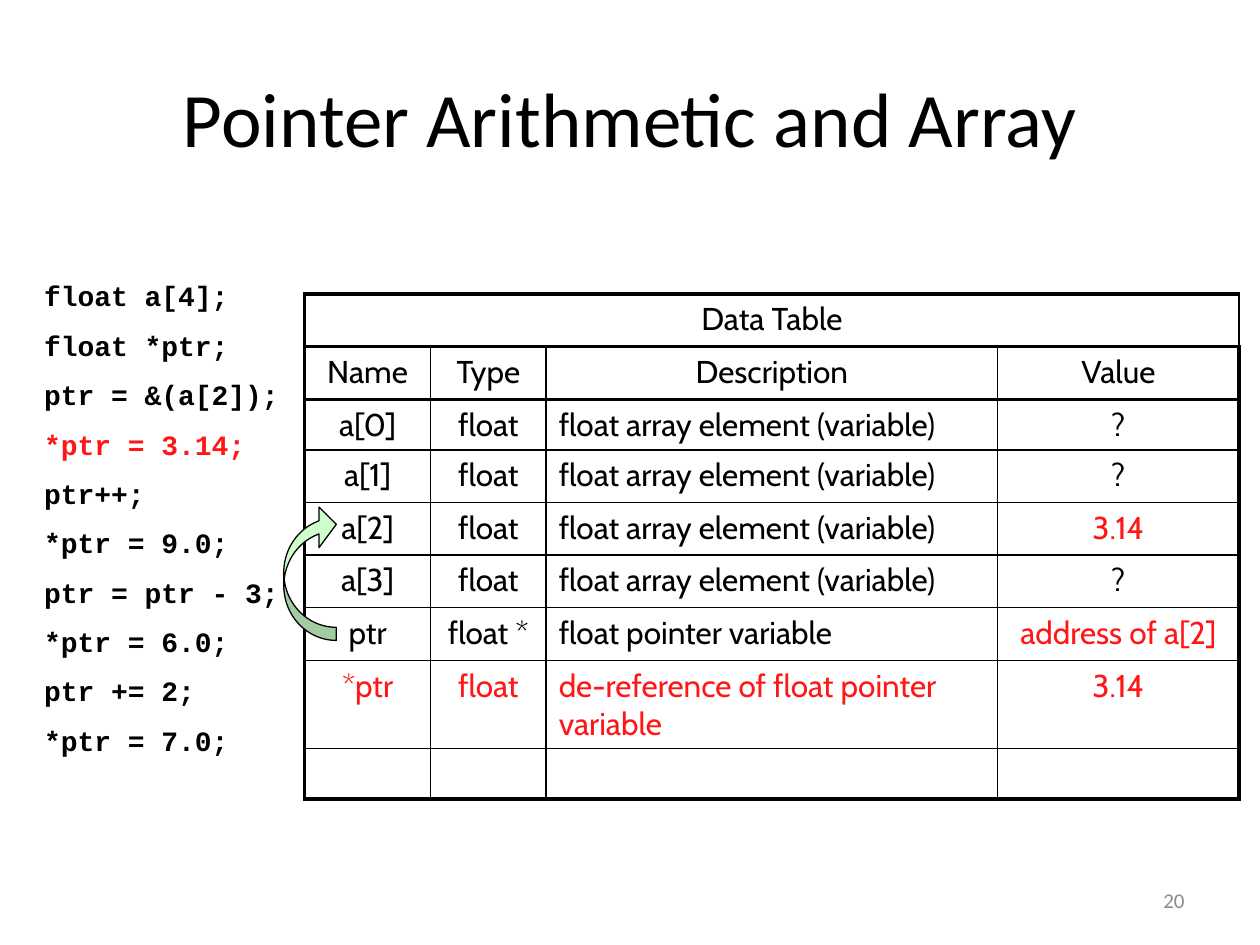
from lxml.etree import SubElement
from pptx import Presentation
from pptx.dml.color import RGBColor
from pptx.enum.shapes import MSO_SHAPE
from pptx.enum.text import MSO_ANCHOR, PP_ALIGN
from pptx.oxml.ns import qn
from pptx.util import Cm, Pt

BLACK, RED, GREY, GREEN = "000000", "FF1717", "8C8C8C", "CCFFCC"
THIN, THICK = 1, 2.25
CODE = [
    "float a[4];",
    "float *ptr;",
    "ptr = &(a[2]);",
    "*ptr = 3.14;",
    "ptr++;",
    "*ptr = 9.0;",
    "ptr = ptr - 3;",
    "*ptr = 6.0;",
    "ptr += 2;",
    "*ptr = 7.0;",
]
CURRENT_LINE = 3
ELEMENT = "float array element (variable)"
TABLE_ROWS = [
    ["Data Table", "", "", ""],
    ["Name", "Type", "Description", "Value"],
    ["a[0]", "float", ELEMENT, "?"],
    ["a[1]", "float", ELEMENT, "?"],
    ["a[2]", "float", ELEMENT, "3.14"],
    ["a[3]", "float", ELEMENT, "?"],
    ["ptr", "float *", "float pointer variable", "address of a[2]"],
    ["*ptr", "float", "de-reference of float pointer variable", "3.14"],
    ["", "", "", ""],
]
RED_CELLS = {(4, 3), (6, 3), (7, 0), (7, 1), (7, 2), (7, 3)}
COLUMN_WIDTHS = [2.54, 2.33, 9.1, 4.87]
ROW_HEIGHTS = [1.06, 1.06, 1.02, 1.06, 1.06, 1.06, 1.06, 1.78, 1.02]


def color(value):
    """Turn a hex string into a colour."""
    return RGBColor.from_string(value)


def format_paragraph(paragraph, font, size, value, align=PP_ALIGN.LEFT, bold=False):
    """Align a paragraph and format its runs."""
    paragraph.alignment = align
    for run in paragraph.runs:
        run.font.name = font
        run.font.size = Pt(size)
        run.font.bold = bold
        run.font.color.rgb = color(value)


def place(shape, left, top, width, height):
    """Move and size a shape, in centimetres."""
    shape.left, shape.top = Cm(left), Cm(top)
    shape.width, shape.height = Cm(width), Cm(height)


def add_title(slide, text):
    """Fill the title placeholder."""
    title = slide.shapes.title
    place(title, 1.27, 0.76, 22.86, 3.18)
    title.text_frame.text = text
    title.text_frame.vertical_anchor = MSO_ANCHOR.MIDDLE
    format_paragraph(title.text_frame.paragraphs[0], "Calibri", 44, BLACK, PP_ALIGN.CENTER)


def add_text_box(slide, left, top, width, height):
    """Add a wrapping text box and return its text frame."""
    box = slide.shapes.add_textbox(Cm(left), Cm(top), Cm(width), Cm(height))
    box.text_frame.word_wrap = True
    return box.text_frame


def add_page_number(slide, text):
    """Add the page number at the lower right."""
    frame = add_text_box(slide, 18.2, 17.65, 5.93, 1.01)
    frame.text = text
    frame.vertical_anchor = MSO_ANCHOR.MIDDLE
    format_paragraph(frame.paragraphs[0], "Calibri", 12, GREY, PP_ALIGN.RIGHT)


def add_code(slide):
    """Add the code with its current line in red."""
    frame = add_text_box(slide, 0.64, 5.5, 23.7, 10.11)
    for index, line in enumerate(CODE):
        paragraph = frame.add_paragraph() if index else frame.paragraphs[0]
        paragraph.text = line
        if index:
            paragraph.space_before = Pt(9)
        value = RED if index == CURRENT_LINE else BLACK
        format_paragraph(paragraph, "Courier New", 16, value, bold=True)


def set_borders(cell, widths):
    """Draw the left, right, top and bottom borders of a cell."""
    properties = cell._tc.get_or_add_tcPr()
    for position, (side, width) in enumerate(zip("LRTB", widths)):
        line = SubElement(properties, qn(f"a:ln{side}"), w=str(Pt(width)))
        fill = SubElement(line, qn("a:solidFill"))
        SubElement(fill, qn("a:srgbClr"), val=BLACK)
        properties.insert(position, line)


def add_data_table(slide):
    """Add the data table with thick frame and header lines."""
    last_row, last_column = len(ROW_HEIGHTS) - 1, len(COLUMN_WIDTHS) - 1
    table = slide.shapes.add_table(
        last_row + 1, last_column + 1, Cm(6.14), Cm(5.93),
        Cm(sum(COLUMN_WIDTHS)), Cm(sum(ROW_HEIGHTS)),
    ).table
    table.first_row = table.horz_banding = False
    for column, width in zip(table.columns, COLUMN_WIDTHS):
        column.width = Cm(width)
    for row, height in zip(table.rows, ROW_HEIGHTS):
        row.height = Cm(height)
    table.cell(0, 0).merge(table.cell(0, last_column))
    for row, texts in enumerate(TABLE_ROWS):
        for column, text in enumerate(texts):
            cell = table.cell(row, column)
            cell.fill.background()
            set_borders(cell, [
                THICK if column == 0 else THIN,
                THICK if column == last_column else THIN,
                THICK if row <= 2 else THIN,
                THICK if row <= 1 or row == last_row else THIN,
            ])
            if text:
                cell.text_frame.text = text
                value = RED if (row, column) in RED_CELLS else BLACK
                described = column == 2 and row > 1
                align = PP_ALIGN.LEFT if described else PP_ALIGN.CENTER
                format_paragraph(cell.text_frame.paragraphs[0], "Cabin", 18, value, align)


def add_pointer_arrow(slide):
    """Add the curved arrow from ptr to a[2]."""
    arrow = slide.shapes.add_shape(
        MSO_SHAPE.CURVED_LEFT_ARROW, Cm(5.72), Cm(10.16), Cm(1.06), Cm(2.75)
    )
    arrow.rotation = 180
    for index, adjustment in enumerate([0.25, 0.77, 0.33]):
        arrow.adjustments[index] = adjustment
    arrow.shadow.inherit = False
    arrow.fill.solid()
    arrow.fill.fore_color.rgb = color(GREEN)
    arrow.line.color.rgb = color(BLACK)
    arrow.line.width = Pt(0.75)


def main():
    """Build and save the slide."""
    presentation = Presentation()
    presentation.slide_width, presentation.slide_height = Cm(25.4), Cm(19.05)
    slide = presentation.slides.add_slide(presentation.slide_layouts[5])
    add_title(slide, "Pointer Arithmetic and Array")
    add_page_number(slide, "20")
    add_code(slide)
    add_data_table(slide)
    add_pointer_arrow(slide)
    presentation.save("out.pptx")


if __name__ == "__main__":
    main()
